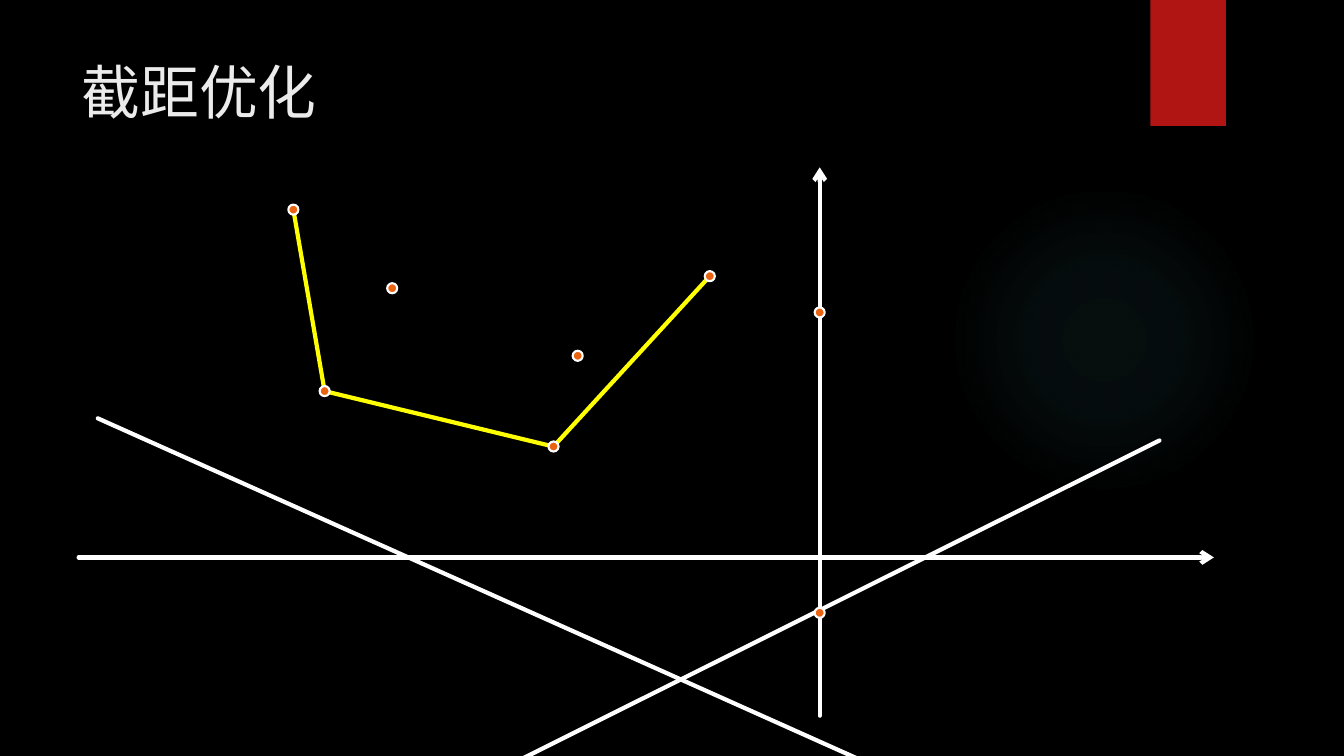
from lxml import etree
from pptx import Presentation, util as u
from pptx.dml.color import RGBColor
from pptx.enum import shapes, text
from pptx.oxml import parse_xml
from pptx.oxml.ns import nsdecls, qn

PX = 9144  # EMU in one px, 100 px to the inch

BLACK = RGBColor(0x00, 0x00, 0x00)
WHITE = RGBColor(0xFF, 0xFF, 0xFF)
TITLE_GREY = RGBColor(0xEB, 0xEB, 0xEB)
RED = RGBColor(0xB0, 0x15, 0x13)
ORANGE = RGBColor(0xEA, 0x63, 0x12)
YELLOW = RGBColor(0xFF, 0xFF, 0x00)
TEAL = RGBColor(0x50, 0xB9, 0xC1)

GLOW_STOPS = [(0, 7), (36, 6), (69, 0)]  # position and opacity, percent

AXIS_X, AXIS_Y = 813, 553
DOT_SIZE = 10
HULL = [(291, 208), (322, 388), (549, 443), (704, 274)]
INNER_POINTS = [(389, 286), (573, 353)]
INTERCEPTS = [(AXIS_X, 310), (AXIS_X, 608)]


def px(*lengths):
    return [u.Emu(length * PX) for length in lengths]


def set_values(target, values):
    for name, value in values.items():
        setattr(target, name, value)


def style_line(line, color, points):
    line.color.rgb = color
    line.width = u.Pt(points)


def add_filled(slide, kind, box, color):
    shape = slide.shapes.add_shape(kind, *px(*box))
    shape.shadow.inherit = False
    shape.fill.solid()
    shape.fill.fore_color.rgb = color
    shape.line.fill.background()
    return shape


def add_glow(slide, box):
    shape = add_filled(slide, shapes.MSO_SHAPE.OVAL, box, TEAL)
    stops = "".join(
        f'<a:gs pos="{position * 1000}"><a:srgbClr val="{TEAL}">'
        f'<a:alpha val="{opacity * 1000}"/></a:srgbClr></a:gs>'
        for position, opacity in GLOW_STOPS)
    gradient = parse_xml(
        f'<a:gradFill {nsdecls("a")} rotWithShape="1"><a:gsLst>{stops}</a:gsLst>'
        '<a:path path="circle"><a:fillToRect l="50000" t="50000" r="50000" b="50000"/>'
        '</a:path></a:gradFill>')
    properties = shape._element.spPr
    properties.replace(properties.find(qn("a:solidFill")), gradient)


def add_line(slide, start, end, arrow=None):
    connector = slide.shapes.add_connector(
        shapes.MSO_CONNECTOR.STRAIGHT, *px(*start, *end))
    style_line(connector.line, WHITE, 3)
    outline = connector.line._get_or_add_ln()
    outline.set("cap", "rnd")
    if arrow:
        etree.SubElement(outline, qn(f"a:{arrow}"), type="arrow")
    etree.SubElement(connector._element.spPr, qn("a:effectLst"))


def add_hull(slide, points):
    builder = slide.shapes.build_freeform(*points[0], scale=PX)
    builder.add_line_segments(points[1:], close=False)
    shape = builder.convert_to_shape()
    shape.shadow.inherit = False
    shape.fill.background()
    style_line(shape.line, YELLOW, 3)


def add_dot(slide, center):
    left, top = (value - DOT_SIZE // 2 for value in center)
    box = (left, top, DOT_SIZE, DOT_SIZE)
    shape = add_filled(slide, shapes.MSO_SHAPE.OVAL, box, ORANGE)
    style_line(shape.line, WHITE, 1.5)


def add_title(slide, box, words):
    frame = slide.shapes.add_textbox(*px(*box)).text_frame
    set_values(frame, {"word_wrap": True, "vertical_anchor": text.MSO_ANCHOR.TOP})
    paragraph = frame.paragraphs[0]
    run = paragraph.add_run()
    run.text = words
    set_values(run.font, {"name": "TeX Gyre Adventor", "size": u.Pt(42)})
    run.font.color.rgb = TITLE_GREY


def main():
    presentation = Presentation()
    width, height = px(1333, 750)
    set_values(presentation, {"slide_width": width, "slide_height": height})
    slide = presentation.slides.add_slide(presentation.slide_layouts[6])
    slide.background.fill.solid()
    slide.background.fill.fore_color.rgb = BLACK

    # Backdrop
    add_glow(slide, (941, 183, 308, 308))
    add_filled(slide, shapes.MSO_SHAPE.RECTANGLE, (1141, 0, 75, 125), RED)

    # Rising line, convex hull and title
    add_line(slide, (287, 868), (1150, 437))
    add_hull(slide, HULL)
    add_title(slide, (71, 50, 1029, 153), "截距优化")

    # Axes and falling line
    add_line(slide, (78, AXIS_Y), (1204, AXIS_Y), arrow="tailEnd")
    add_line(slide, (AXIS_X, 166), (AXIS_X, 710), arrow="headEnd")
    add_line(slide, (97, 415), (1155, 889))

    # Points
    for center in HULL + INNER_POINTS + INTERCEPTS:
        add_dot(slide, center)

    presentation.save("out.pptx")


if __name__ == "__main__":
    main()
